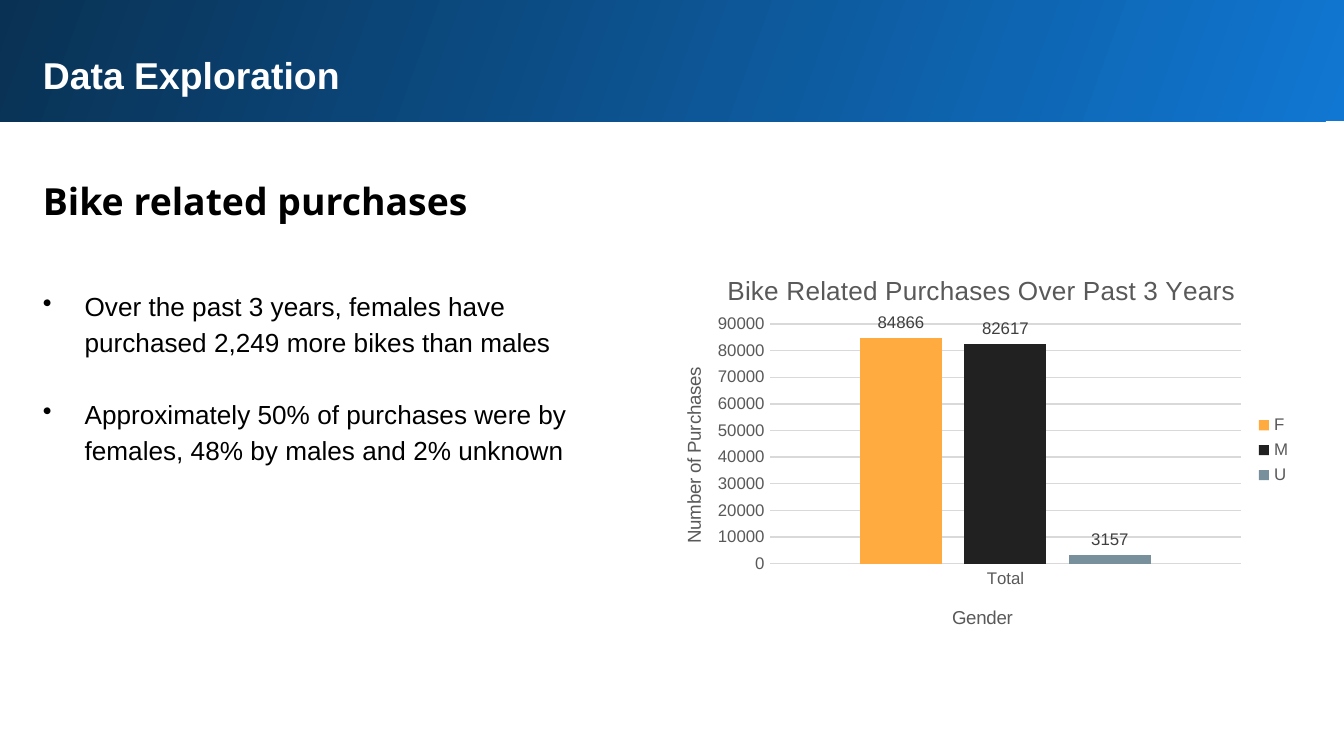
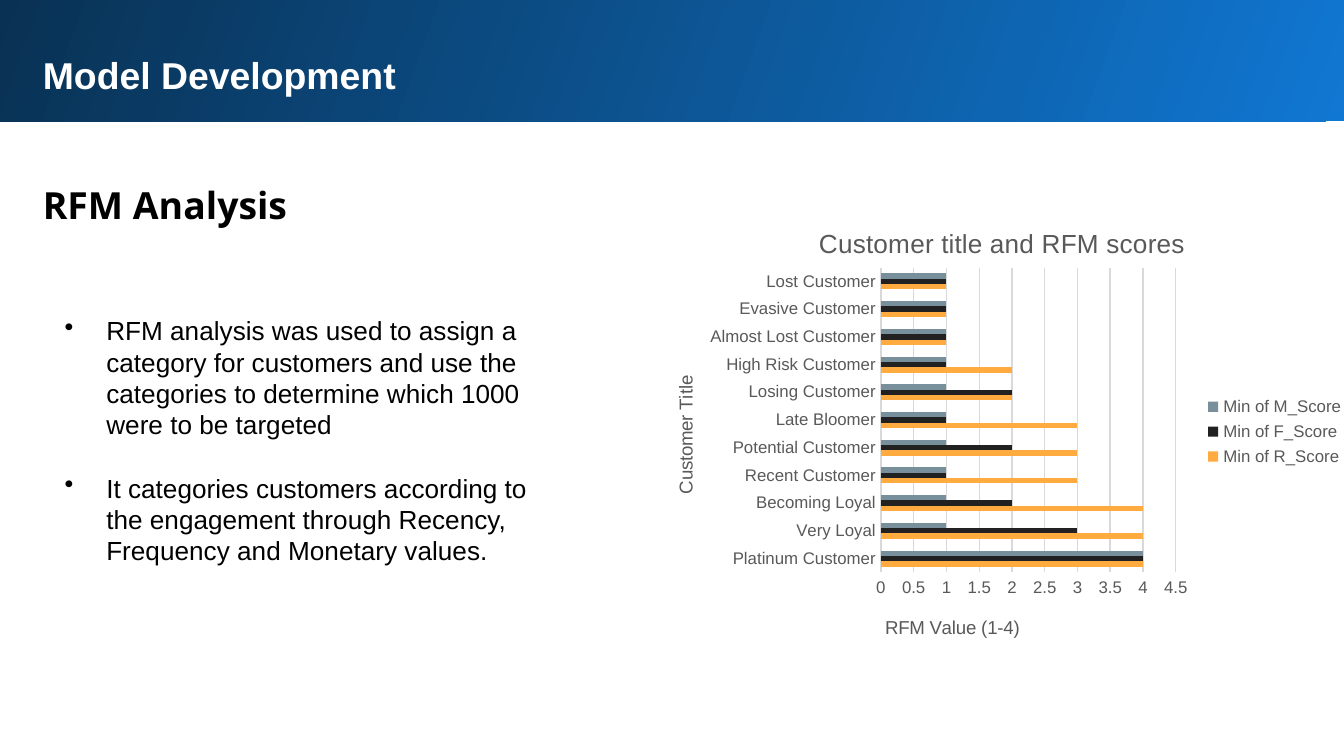
from lxml import etree
from pptx import Presentation
from pptx.chart.data import CategoryChartData
from pptx.dml.color import RGBColor
from pptx.enum.chart import XL_CHART_TYPE, XL_LABEL_POSITION, XL_LEGEND_POSITION, XL_TICK_MARK
from pptx.enum.shapes import MSO_SHAPE
from pptx.enum.text import MSO_ANCHOR, PP_ALIGN
from pptx.oxml.ns import qn
from pptx.util import Cm, Pt

COLUMNS = XL_CHART_TYPE.COLUMN_CLUSTERED
BARS = XL_CHART_TYPE.BAR_CLUSTERED
OUTSIDE_END = XL_LABEL_POSITION.OUTSIDE_END
LEGEND_RIGHT = XL_LEGEND_POSITION.RIGHT
NO_TICKS = XL_TICK_MARK.NONE
RECTANGLE = MSO_SHAPE.RECTANGLE
TOP = MSO_ANCHOR.TOP
LEFT = PP_ALIGN.LEFT

BLACK, WHITE = "000000", "FFFFFF"
BRIGHT_BLUE, NAVY = "1077D2", "093153"
ORANGE, CHARCOAL, SLATE = "FFAB40", "212121", "78909C"
CHART_TEXT, LABEL_TEXT, GRID = "595959", "404040", "D9D9D9"


def rgb(hex_string):
    return RGBColor.from_string(hex_string)


def set_font(font, size, color, bold=False, name="Arial"):
    font.name, font.size, font.bold = name, Pt(size), bold
    font.color.rgb = rgb(color)


def write(frame, *texts, bullet=False, spacing=None, gap=0, **font):
    """Fill a text frame with one paragraph per text; gap goes between them."""
    for number, text in enumerate(texts):
        paragraph = frame.paragraphs[0] if number == 0 else frame.add_paragraph()
        if number and gap:
            paragraph.space_before = Pt(gap)
        if spacing:
            paragraph.line_spacing = spacing
        if bullet:
            properties = paragraph._p.get_or_add_pPr()
            properties.set("marL", str(Cm(0.79)))
            properties.set("indent", str(-Cm(0.79)))
            etree.SubElement(properties, qn("a:buChar")).set("char", "•")
        run = paragraph.add_run()
        run.text = text
        set_font(run.font, **font)


def set_layout(element, index, inner=False, **percent):
    """Place a chart part by percentages of the chart area."""
    for old in element.findall(qn("c:layout")):
        element.remove(old)
    layout = etree.Element(qn("c:layout"))
    manual = etree.SubElement(layout, qn("c:manualLayout"))
    settings = {"layoutTarget": "inner"} if inner else {}
    settings.update(xMode="edge", yMode="edge")
    settings.update((key, str(value / 100)) for key, value in percent.items())
    for key, value in settings.items():
        etree.SubElement(manual, qn(f"c:{key}")).set("val", value)
    element.insert(index, layout)


class Deck:
    def __init__(self):
        self.presentation = Presentation()
        self.presentation.slide_width = Cm(25.4)
        self.presentation.slide_height = Cm(14.29)
        self.slide = None

    def new_slide(self, title):
        layout = self.presentation.slide_layouts.get_by_name("Title Only")
        self.slide = self.presentation.slides.add_slide(layout)
        self.band()
        heading = self.slide.shapes.title
        heading.left, heading.top = Cm(0.56), Cm(0.74)
        heading.width, heading.height = Cm(23.8), Cm(1.3)
        self.frame_up(heading.text_frame, 0.25)
        write(heading.text_frame, title, size=20, color=WHITE, bold=True)
        heading.text_frame.paragraphs[0].alignment = LEFT

    def band(self):
        """Draw the gradient header behind the title."""
        band = self.slide.shapes.add_shape(
            RECTANGLE, Cm(-0.05), Cm(-0.05), Cm(25.53), Cm(2.34))
        band.shadow.inherit = False
        band.line.fill.background()
        band.fill.gradient()
        band.fill.gradient_angle = 160
        for stop, position, color in zip(
                band.fill.gradient_stops, (0, 1), (BRIGHT_BLUE, NAVY)):
            stop.position = position
            stop.color.rgb = rgb(color)
        self.slide.shapes._spTree.insert(2, band._element)

    @staticmethod
    def frame_up(frame, margin):
        """Give a text frame wrapping, top anchoring and equal margins."""
        frame.word_wrap = True
        frame.vertical_anchor = TOP
        frame.margin_left = frame.margin_right = Cm(margin)
        frame.margin_top = frame.margin_bottom = Cm(margin)

    def text(self, place, *texts, margin=0.25, **style):
        box = self.slide.shapes.add_textbox(*map(Cm, place))
        self.frame_up(box.text_frame, margin)
        write(box.text_frame, *texts, **style)

    def subheading(self, top, text):
        self.text((0.56, top, 23.8, 1.42), text, spacing=1.15,
                  size=20, color=BLACK, bold=True, name="Open Sans")

    def bullets(self, place, *texts, **style):
        self.text(place, *texts, bullet=True, size=14, color=BLACK, **style)

    def chart(self, kind, place, title, categories, series, plot_area, title_at,
              category_title, value_title, value_max, value_step,
              overlap=0, labels=False):
        data = CategoryChartData()
        data.categories = categories
        for name, _, values in series:
            data.add_series(name, values)
        chart = self.slide.shapes.add_chart(kind, *map(Cm, place), data).chart
        set_font(chart.font, 10, BLACK)

        chart.has_title = True
        write(chart.chart_title.text_frame, title, size=14, color=CHART_TEXT)
        set_layout(chart.chart_title._element, 1, **title_at)
        chart.has_legend = True
        chart.legend.position = LEGEND_RIGHT
        chart.legend.include_in_layout = False
        set_font(chart.legend.font, 9, CHART_TEXT)

        plot = chart.plots[0]
        plot.vary_by_categories = False
        plot.gap_width, plot.overlap = 219, overlap
        for drawn, (_, color, _) in zip(plot.series, series):
            drawn.format.fill.solid()
            drawn.format.fill.fore_color.rgb = rgb(color)
            drawn.invert_if_negative = False
            if labels:
                drawn.data_labels.show_value = True
                drawn.data_labels.position = OUTSIDE_END
                set_font(drawn.data_labels.font, 9, LABEL_TEXT)

        self.axis(chart.category_axis, *category_title, upright=kind == BARS)
        self.axis(chart.value_axis, *value_title, upright=kind == COLUMNS)
        self.rule(chart.category_axis.format.line)
        chart.category_axis.has_major_gridlines = False
        chart.value_axis.format.line.fill.background()
        chart.value_axis.has_major_gridlines = True
        self.rule(chart.value_axis.major_gridlines.format.line)
        chart.value_axis.minimum_scale = 0
        chart.value_axis.maximum_scale = value_max
        chart.value_axis.major_unit = value_step
        plot_element = chart._chartSpace.find(".//" + qn("c:plotArea"))
        set_layout(plot_element, 0, inner=True, **plot_area)

    @staticmethod
    def rule(line):
        line.color.rgb = rgb(GRID)
        line.width = Pt(0.75)

    @staticmethod
    def axis(axis, title, title_at, upright):
        axis.major_tick_mark = axis.minor_tick_mark = NO_TICKS
        set_font(axis.tick_labels.font, 9, CHART_TEXT)
        frame = axis.axis_title.text_frame
        write(frame, title, size=10, color=CHART_TEXT)
        body = frame._txBody.find(qn("a:bodyPr"))
        body.set("rot", "-5400000" if upright else "0")
        body.set("vert", "horz")
        set_layout(axis.axis_title._element, 1, **title_at)


def add_exploration(deck):
    deck.new_slide("Data Exploration")
    deck.subheading(3, "Bike related purchases")
    deck.bullets(
        (0.56, 5.16, 11.48, 3.89),
        "Over the past 3 years, females have purchased 2,249 more bikes than males",
        "Approximately 50% of purchases were by females, 48% by males and 2% unknown",
        spacing=1.15, gap=19)
    deck.chart(
        COLUMNS, (12.24, 4.7, 12.42, 7.62),
        "Bike Related Purchases Over Past 3 Years", ["Total"],
        [("F", ORANGE, [84866]), ("M", CHARCOAL, [82617]), ("U", SLATE, [3157])],
        plot_area=dict(x=18.6, y=18.7, w=71.7, h=59.5),
        title_at=dict(x=11.4, y=5),
        category_title=("Gender", dict(x=45.8, y=87.7)),
        value_title=("Number of Purchases", dict(x=4.7, y=28.6)),
        value_max=90000, value_step=10000, overlap=-27, labels=True)


def add_model(deck):
    deck.new_slide("Model Development")
    deck.subheading(3.07, "RFM Analysis")
    customers = [
        "Platinum Customer", "Very Loyal", "Becoming Loyal", "Recent Customer",
        "Potential Customer", "Late Bloomer", "Losing Customer",
        "High Risk Customer", "Almost Lost Customer", "Evasive Customer",
        "Lost Customer"]
    scores = [
        ("Min of R_Score", ORANGE, [4, 4, 4, 3, 3, 3, 2, 2, 1, 1, 1]),
        ("Min of F_Score", CHARCOAL, [4, 3, 2, 1, 2, 1, 2, 1, 1, 1, 1]),
        ("Min of M_Score", SLATE, [4] + [1] * 10)]
    deck.chart(
        BARS, (12.07, 3.78, 13.59, 8.76),
        "Customer title and RFM scores", customers, scores,
        plot_area=dict(x=33.7, y=14.6, w=41, h=65.8),
        title_at=dict(x=24.4, y=4.7),
        category_title=("Customer Title", dict(x=4.4, y=37.2)),
        value_title=("RFM Value (1-4)", dict(x=33.8, y=89)),
        value_max=4.5, value_step=0.5)
    deck.bullets(
        (1.09, 5.82, 9.8, 5.64),
        "RFM analysis was used to assign a category for customers and use the "
        "categories to determine which 1000 were to be targeted",
        "It categories customers according to the engagement through Recency, "
        "Frequency and Monetary values.",
        margin=0.13, gap=17)


def main():
    deck = Deck()
    add_exploration(deck)
    add_model(deck)
    deck.presentation.save("out.pptx")


if __name__ == "__main__":
    main()
